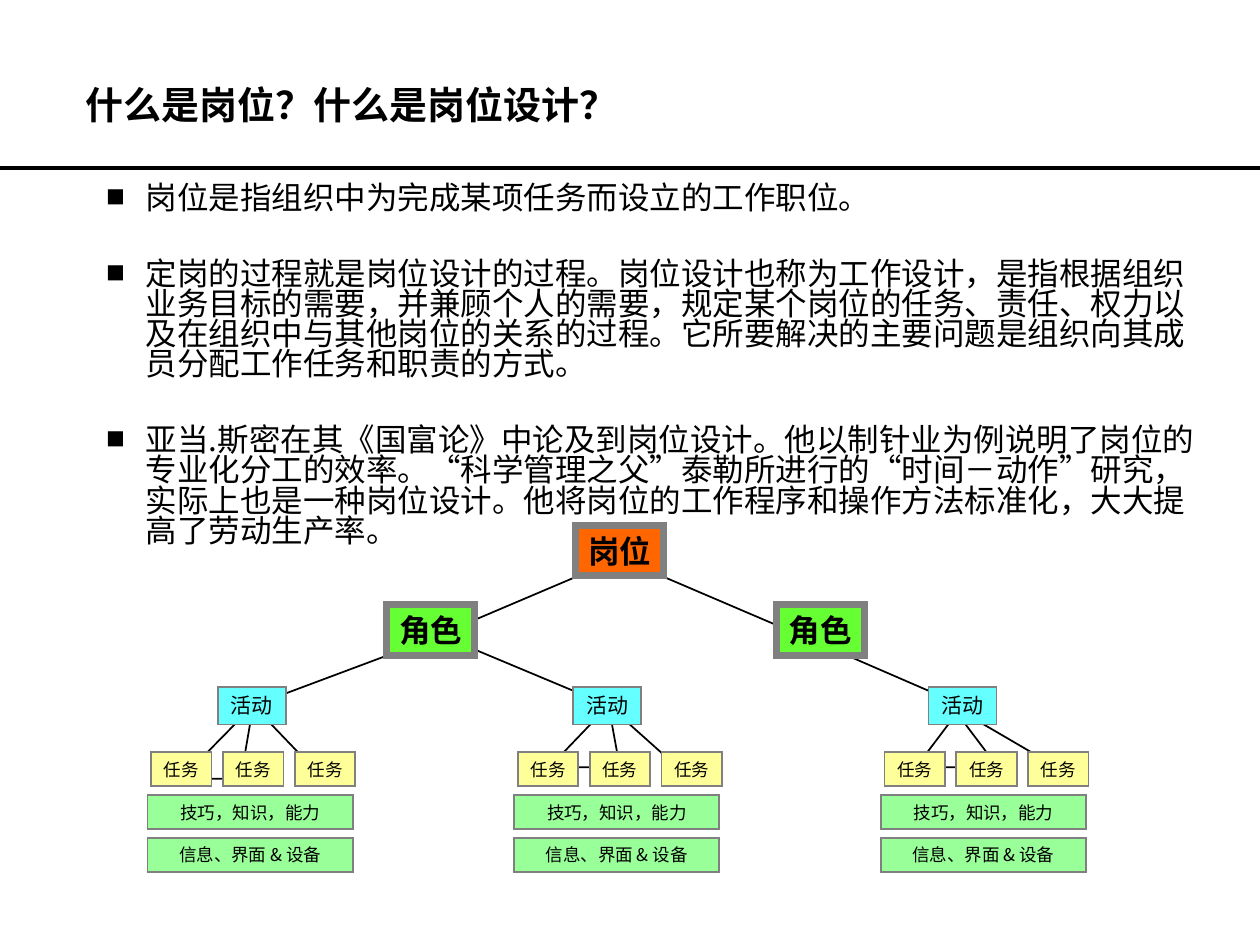
from dataclasses import dataclass

from lxml.etree import SubElement
from pptx import Presentation
from pptx.dml.color import RGBColor
from pptx.enum.shapes import MSO_CONNECTOR, MSO_SHAPE
from pptx.enum.text import MSO_ANCHOR, PP_ALIGN
from pptx.oxml.ns import qn
from pptx.util import Inches, Pt


@dataclass(frozen=True)
class Theme:
    face: str = "Noto Sans CJK SC"
    ink: str = "000000"
    edge: str = "808080"
    job: str = "FF6600"
    role: str = "66FF33"
    act: str = "66FFFF"
    task: str = "FFFF99"
    bar: str = "99FF99"
    title: float = 21.7
    big: float = 18
    mid: float = 12
    small: float = 10


THEME = Theme()

POINTS = [
    "岗位是指组织中为完成某项任务而设立的工作职位。",
    "定岗的过程就是岗位设计的过程。岗位设计也称为工作设计，是指根据组织业务目标的需要，"
    "并兼顾个人的需要，规定某个岗位的任务、责任、权力以及在组织中与其他岗位的关系的过程。"
    "它所要解决的主要问题是组织向其成员分配工作任务和职责的方式。",
    "亚当.斯密在其《国富论》中论及到岗位设计。他以制针业为例说明了岗位的专业化分工的效率。"
    "“科学管理之父”泰勒所进行的“时间－动作”研究，实际上也是一种岗位设计。"
    "他将岗位的工作程序和操作方法标准化，大大提高了劳动生产率。",
]

LINKS = [
    [(3.75, 0.26), (5.34, 0.94), (6.47, 1.43), (6.1, 1.92),
     (6.75, 1.92), (6.38, 1.43), (7.22, 1.92)],
    [(2.25, 0.84), (3.66, 1.43), (3.19, 1.92), (3.75, 1.92),
     (3.66, 1.43), (4.31, 2.01)],
    [(3.75, 0.26), (2.15, 0.94), (0.84, 1.43), (0.27, 2.01),
     (0.74, 2.01), (0.84, 1.43), (1.31, 1.92)],
]


def style(item, **form):
    for key, val in form.items():
        setattr(item, key, val)


def write(para, text, size, bold=False):
    run = para.add_run()
    run.text = text
    style(run.font, name=THEME.face, size=Pt(size), bold=bold)
    run.font.color.rgb = RGBColor.from_string(THEME.ink)
    SubElement(run.font._element, qn("a:ea"), typeface=THEME.face)


def stroke(line, color, width):
    line.color.rgb = RGBColor.from_string(color)
    line.width = Pt(width)


def frame(shapes, box):
    text = shapes.add_textbox(*map(Inches, box)).text_frame
    text.word_wrap = True
    return text


def bullet(para):
    props = para._p.get_or_add_pPr()
    for key, val in {"marL": 0.81, "indent": -0.31}.items():
        props.set(key, str(Inches(val)))
    color = SubElement(props, qn("a:buClr"))
    SubElement(color, qn("a:srgbClr"), val=THEME.ink)
    SubElement(props, qn("a:buSzPct"), val="60000")
    SubElement(props, qn("a:buFont"), typeface=THEME.face)
    SubElement(props, qn("a:buChar"), char="■")


def head(shapes, box):
    left, top, width, high = box
    para = frame(shapes, (left + 0.58, top, 8.5, high)).paragraphs[0]
    para.line_spacing = 0.8
    write(para, "什么是岗位？什么是岗位设计？", THEME.title, True)
    base = Inches(top + 0.66)
    rule = shapes.add_connector(MSO_CONNECTOR.STRAIGHT, Inches(left), base,
                                Inches(left + width), base)
    stroke(rule.line, THEME.ink, 2.25)
    SubElement(rule._element.spPr, qn("a:effectLst"))


def body(shapes, box):
    text = frame(shapes, box)
    for spot, point in enumerate(POINTS):
        para = text.add_paragraph() if spot else text.paragraphs[0]
        bullet(para)
        style(para, line_spacing=0.8, space_before=Pt(26 if spot else 0))
        write(para, point, THEME.big)


def node(shapes, box, label, fill, size, edge=1, bold=False, wrap=False):
    shape = shapes.add_shape(MSO_SHAPE.RECTANGLE, *map(Inches, box))
    shape.shadow.inherit = False
    shape.fill.solid()
    shape.fill.fore_color.rgb = RGBColor.from_string(fill)
    stroke(shape.line, THEME.edge, edge)
    SubElement(shape.line._get_or_add_ln(), qn("a:miter"), lim="800000")
    text = shape.text_frame
    style(text, word_wrap=wrap, vertical_anchor=MSO_ANCHOR.MIDDLE)
    text.paragraphs[0].alignment = PP_ALIGN.CENTER
    write(text.paragraphs[0], label, size, bold)


def link(shapes, left, top, path):
    spots = [(Inches(left + x), Inches(top + y)) for x, y in path]
    build = shapes.build_freeform(*spots[0])
    build.add_line_segments(spots[1:], close=False)
    shape = build.convert_to_shape()
    shape.shadow.inherit = False
    shape.fill.background()
    stroke(shape.line, THEME.ink, 1)


def branch(shapes, left, top):
    for col in range(3):
        node(shapes, (left + 0.03 + 0.57 * col, top, 0.48, 0.27),
             "任务", THEME.task, THEME.small)
    for row, label in enumerate(("技巧，知识，能力", "信息、界面 & 设备"), 1):
        node(shapes, (left, top + 0.34 * row, 1.63, 0.27),
             label, THEME.bar, THEME.small, wrap=True)


def tree(shapes, box):
    left, top = box
    group = shapes.add_group_shape().shapes
    for path in LINKS:
        link(group, left, top, path)
    tops = [(3.4, 0, "岗位", THEME.job), (1.9, 0.63, "角色", THEME.role),
            (4.99, 0.63, "角色", THEME.role)]
    for x, y, label, fill in tops:
        node(group, (left + x, top + y, 0.7, 0.4), label, fill,
             THEME.big, 4, True)
    for col in range(3):
        node(group, (left + 0.56 + 2.82 * col, top + 1.28, 0.54, 0.3),
             "活动", THEME.act, THEME.mid)
        branch(group, left + 2.91 * col, top + 1.8)


def main():
    deck = Presentation()
    style(deck, slide_width=Inches(10), slide_height=Inches(7.5))
    shapes = deck.slides.add_slide(deck.slide_layouts[6]).shapes
    body(shapes, (0.25, 1.42, 9.42, 3.33))
    tree(shapes, (1.17, 4.17))
    head(shapes, (0, 0.67, 10, 0.5))
    deck.save("out.pptx")


if __name__ == "__main__":
    main()
